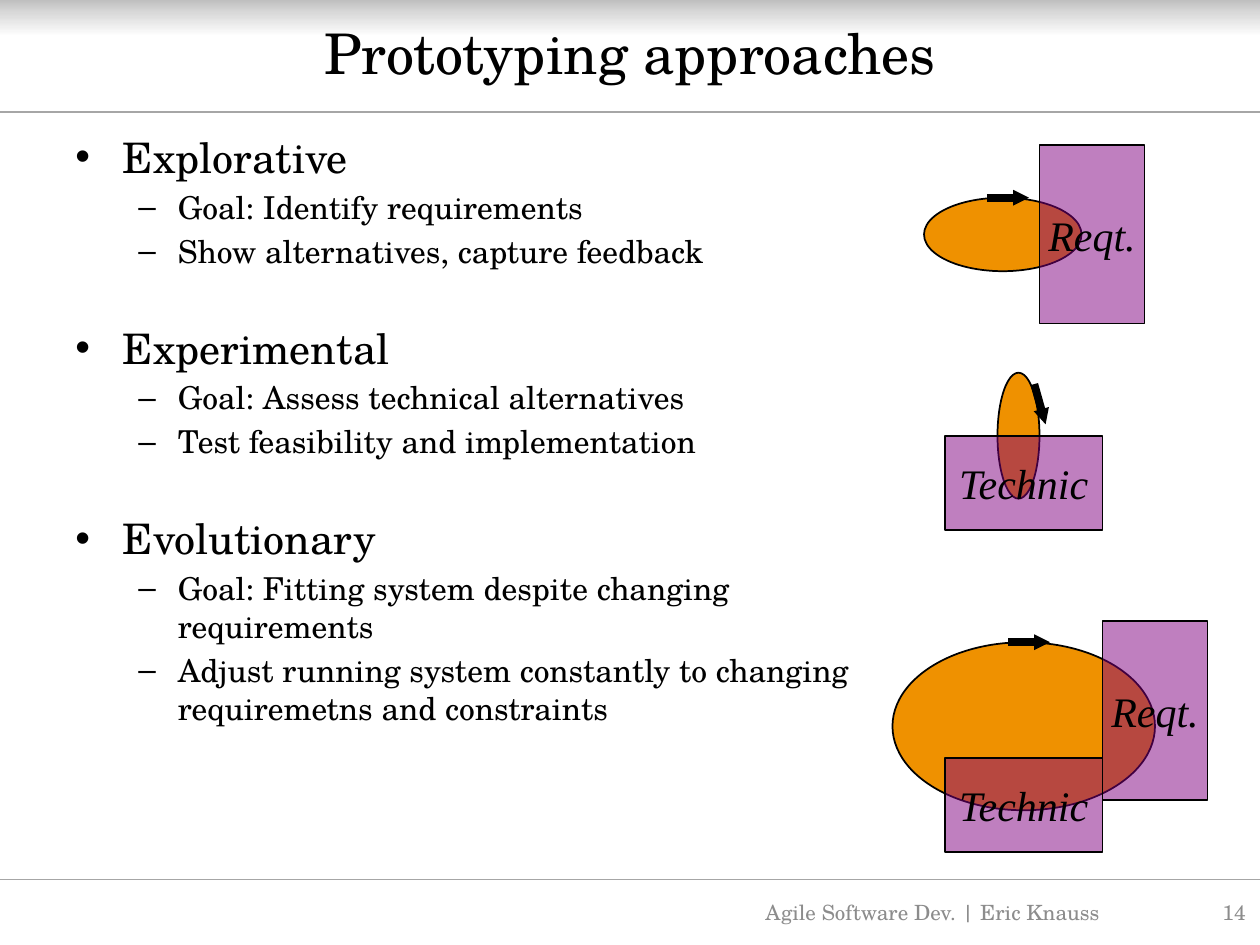
from copy import deepcopy
from dataclasses import dataclass

from pptx import Presentation
from pptx.dml.color import RGBColor
from pptx.enum.shapes import MSO_CONNECTOR, MSO_SHAPE
from pptx.enum.text import MSO_ANCHOR, PP_ALIGN
from pptx.oxml.ns import qn
from pptx.util import Pt
from lxml import etree

RECT, OVAL = MSO_SHAPE.RECTANGLE, MSO_SHAPE.OVAL
STRAIGHT = MSO_CONNECTOR.STRAIGHT
TOP, MIDDLE = MSO_ANCHOR.TOP, MSO_ANCHOR.MIDDLE
LEFT, CENTER, RIGHT = PP_ALIGN.LEFT, PP_ALIGN.CENTER, PP_ALIGN.RIGHT


@dataclass(frozen=True)
class Theme:
    font: str = "TeX Gyre Schola"
    label_font: str = "Times New Roman"
    ink: str = "000000"
    footer: str = "8C8C8C"
    rule: str = "A6A6A6"
    prototype: str = "EF9100"
    target: str = "800080"
    band: tuple = ((0, "BFBFBF"), (0.34, "D9D9D9"), (1, "FFFFFF"))
    title_size: int = 32
    topic_size: int = 24
    point_size: int = 18
    footer_size: int = 12


THEME = Theme()
WIDTH, HEIGHT = 720, 540
REQT_SIZE = (60, 102)
TECHNIC_SIZE = (90, 54)

TOPICS = [
    ("Explorative", ["Goal: Identify requirements",
                     "Show alternatives, capture feedback"]),
    ("Experimental", ["Goal: Assess technical alternatives",
                      "Test feasibility and implementation"]),
    ("Evolutionary", ["Goal: Fitting system despite changing requirements",
                      "Adjust running system constantly to changing "
                      "requiremetns and constraints"]),
]


def rgb(color):
    return RGBColor.from_string(color)


def points(*lengths):
    return [Pt(length) for length in lengths]


def write(paragraph, text, size, color=THEME.ink, font=THEME.font, italic=None):
    run = paragraph.add_run()
    run.text = text
    run.font.name, run.font.size, run.font.italic = font, Pt(size), italic
    run.font.color.rgb = rgb(color)


def text_frame(slide, box, anchor):
    frame = slide.shapes.add_textbox(*points(*box)).text_frame
    frame.word_wrap = True
    frame.vertical_anchor = anchor
    return frame


def text_line(slide, box, text, size, align, color=THEME.ink):
    paragraph = text_frame(slide, box, MIDDLE).paragraphs[0]
    paragraph.alignment = align
    write(paragraph, text, size, color)


def line(shapes, start, end, color, width):
    connector = shapes.add_connector(STRAIGHT, *points(*start, *end))
    connector.line.color.rgb = rgb(color)
    connector.line.width = Pt(width)
    etree.SubElement(connector._element.spPr, qn("a:effectLst"))
    return connector


def arrow(shapes, start, end):
    outline = line(shapes, start, end, THEME.ink, 4.5).line._get_or_add_ln()
    etree.SubElement(outline, qn("a:tailEnd"), type="triangle", w="sm", len="sm")


def outlined(shapes, kind, box, color):
    shape = shapes.add_shape(kind, *points(*box))
    shape.shadow.inherit = False
    shape.fill.solid()
    shape.fill.fore_color.rgb = rgb(color)
    shape.line.color.rgb = rgb(THEME.ink)
    shape.line.width = Pt(1)
    return shape


def prototype(shapes, box):
    outlined(shapes, OVAL, box, THEME.prototype)


def target(shapes, left, top, size, label):
    """Half-transparent block that the prototype reaches into."""
    block = outlined(shapes, RECT, (left, top, *size), THEME.target)
    color = block._element.spPr.find(qn("a:solidFill"))[0]
    etree.SubElement(color, qn("a:alpha"), val="50000")
    frame = block.text_frame
    frame.word_wrap = False
    frame.vertical_anchor = MIDDLE
    frame.paragraphs[0].alignment = CENTER
    write(frame.paragraphs[0], label, THEME.topic_size,
          font=THEME.label_font, italic=True)


def header(slide, box):
    left, top, width, height = box
    # Shaded band
    band = slide.shapes.add_shape(RECT, *points(left, top, width, 21))
    band.shadow.inherit = False
    band.line.fill.background()
    band.fill.gradient()
    band.fill.gradient_angle = 270
    stops = band._element.spPr.find(qn("a:gradFill")).find(qn("a:gsLst"))
    stops.append(deepcopy(stops[-1]))
    for stop, (position, color) in zip(band.fill.gradient_stops, THEME.band):
        stop.position = position
        stop.color.rgb = rgb(color)
    # Rule and title
    bottom = top + height
    line(slide.shapes, (left, bottom), (left + width, bottom), THEME.rule, 0.75)
    text_line(slide, (left + 36, top + 2, width - 72, 55.5),
              "Prototyping approaches", THEME.title_size, CENTER)


def footer(slide, box):
    left, top, width, height = box
    line(slide.shapes, (left, top), (left + width, top), THEME.rule, 0.75)
    for offset, span, text, align in (
            (419, 228, "Agile Software Dev. | Eric Knauss", CENTER),
            (653, 66, "14", RIGHT)):
        text_line(slide, (left + offset, top + 4.5, span, 28.5), text,
                  THEME.footer_size, align, THEME.footer)


def bullet(paragraph, mark, margin, hang):
    properties = paragraph._p.get_or_add_pPr()
    properties.set("marL", str(Pt(margin)))
    properties.set("indent", str(Pt(-hang)))
    etree.SubElement(properties, qn("a:buFont"), typeface="Arial")
    etree.SubElement(properties, qn("a:buChar"), char=mark)


def topic_list(slide, box):
    frame = text_frame(slide, box, TOP)
    for number, (topic, details) in enumerate(TOPICS):
        heading = frame.add_paragraph() if number else frame.paragraphs[0]
        bullet(heading, "•", 27, 27)
        if number:
            heading.space_before = Pt(30)
        write(heading, topic, THEME.topic_size)
        for detail in details:
            item = frame.add_paragraph()
            item.level = 1
            bullet(item, "–", 58.5, 22.5)
            item.space_before = Pt(3.5)
            write(item, detail, THEME.point_size)


def explorative(slide, left, top):
    shapes = slide.shapes.add_group_shape().shapes
    prototype(shapes, (left, top + 30, 90, 42))
    target(shapes, left + 66, top, REQT_SIZE, "Reqt.")
    arrow(shapes, (left + 36, top + 30), (left + 60, top + 30))


def experimental(slide, left, top):
    shapes = slide.shapes.add_group_shape().shapes
    prototype(shapes, (left + 30, top, 24, 72))
    target(shapes, left, top + 36, TECHNIC_SIZE, "Technic")
    arrow(shapes, (left + 51, top + 6.5), (left + 57.5, top + 29.5))


def evolutionary(slide, left, top):
    shapes = slide.shapes.add_group_shape().shapes
    prototype(shapes, (left, top + 12, 150, 96))
    target(shapes, left + 30, top + 78, TECHNIC_SIZE, "Technic")
    target(shapes, left + 120, top, REQT_SIZE, "Reqt.")
    arrow(shapes, (left + 66, top + 12), (left + 90, top + 12))


def main():
    deck = Presentation()
    deck.slide_width, deck.slide_height = points(WIDTH, HEIGHT)
    slide = deck.slides.add_slide(deck.slide_layouts[6])
    header(slide, (0, 0, WIDTH, 64))
    footer(slide, (0, 502.5, WIDTH, 37.5))
    topic_list(slide, (36, 71.5, 477.5, 420))
    explorative(slide, 528, 83)
    experimental(slide, 540, 213)
    evolutionary(slide, 510, 355)
    deck.save("out.pptx")


if __name__ == "__main__":
    main()
